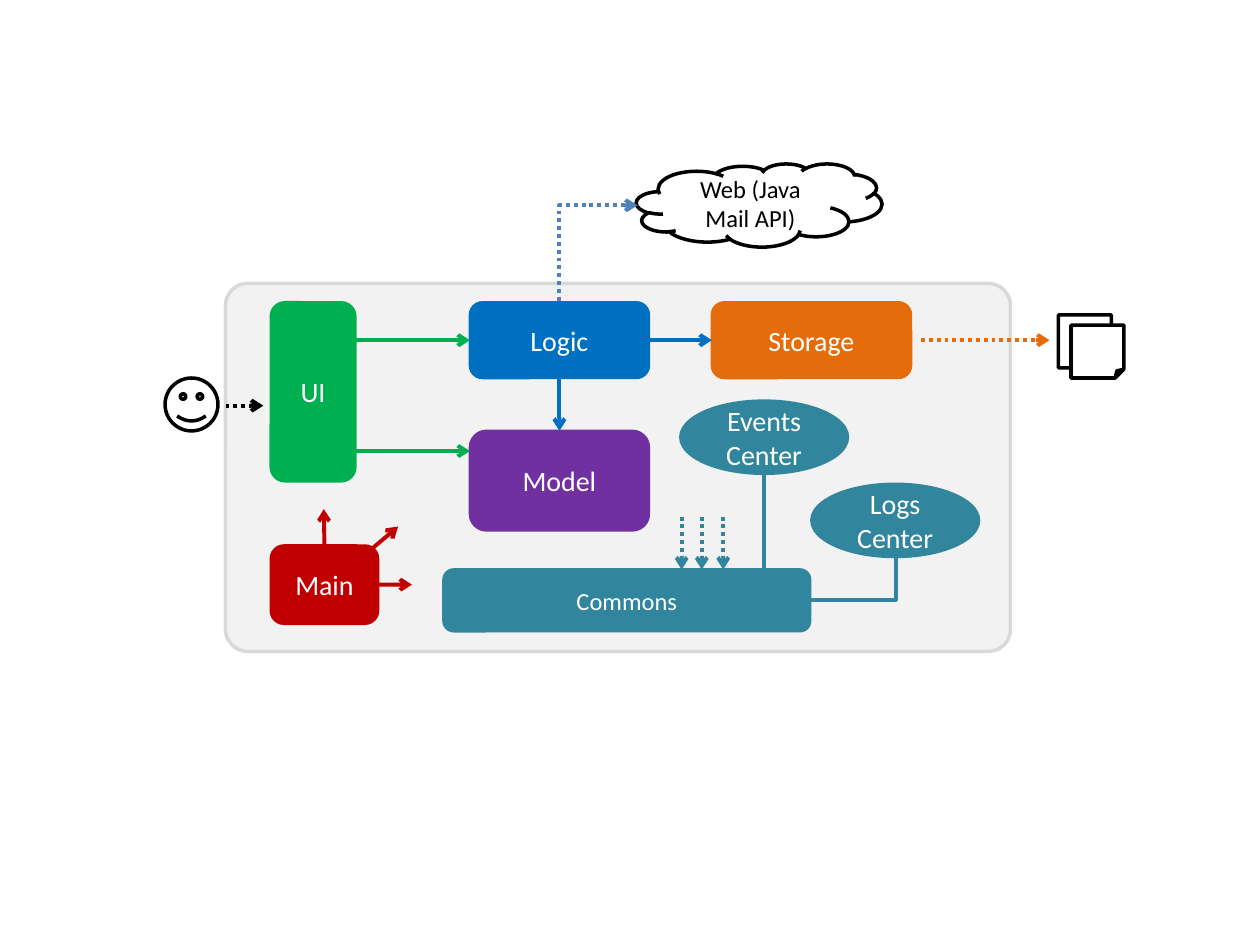
from dataclasses import dataclass
from typing import Optional

from pptx import Presentation
from pptx.dml.color import RGBColor
from pptx.enum.dml import MSO_LINE
from pptx.enum.shapes import MSO_CONNECTOR, MSO_SHAPE
from pptx.enum.text import MSO_ANCHOR, PP_ALIGN
from pptx.oxml.ns import qn
from pptx.oxml.xmlchemy import OxmlElement
from pptx.util import Inches, Pt

TOP, LEFT, BOTTOM, RIGHT = range(4)


@dataclass(frozen=True)
class Theme:
    font: str = "Calibri"
    large: float = 16
    small: float = 14
    outline: float = 2
    box_line: float = 1.5
    arrow_line: float = 2.25
    white: str = "FFFFFF"
    black: str = "000000"
    panel: str = "F2F2F2"
    border: str = "D9D9D9"
    ui: str = "00B050"
    logic: str = "0070C0"
    storage: str = "E46C0A"
    model: str = "7030A0"
    commons: str = "31859C"
    main: str = "C00000"
    web: str = "4F81BD"


T = Theme()


@dataclass
class Node:
    """A shape; box is left, top, width, height in percent of the slide."""
    name: str
    kind: MSO_SHAPE
    box: tuple
    fill: str
    line: Optional[str] = None
    text: str = ""
    size: float = T.large
    color: str = T.white
    weight: float = T.box_line


@dataclass
class Link:
    """A connector; start and end are x, y in percent of the slide."""
    start: tuple
    end: tuple
    color: str
    dotted: bool = False
    arrow: Optional[str] = "a:tailEnd"
    bent: bool = False
    begin_at: Optional[tuple] = None
    end_at: Optional[tuple] = None


prs = Presentation()
prs.slide_width, prs.slide_height = Inches(10), Inches(7.5)
s = prs.slides.add_slide(prs.slide_layouts[6])


def px(share: float) -> int:
    return round(prs.slide_width * share / 100)


def py(share: float) -> int:
    return round(prs.slide_height * share / 100)


def draw_node(node: Node):
    x, y, w, h = node.box
    sp = s.shapes.add_shape(node.kind, px(x), py(y), px(w), py(h))
    sp.shadow.inherit = False
    sp.fill.solid()
    sp.fill.fore_color.rgb = RGBColor.from_string(node.fill)
    sp.line.color.rgb = RGBColor.from_string(node.line or node.fill)
    sp.line.width = Pt(node.weight)
    if node.text:
        tf = sp.text_frame
        tf.word_wrap, tf.vertical_anchor = True, MSO_ANCHOR.MIDDLE
        p = tf.paragraphs[0]
        p.text, p.alignment = node.text, PP_ALIGN.CENTER
        for r in p.runs:
            for key, value in {"name": T.font, "size": Pt(node.size)}.items():
                setattr(r.font, key, value)
            r.font.color.rgb = RGBColor.from_string(node.color)
    return sp


def draw_link(link: Link, shapes: dict) -> None:
    kind = MSO_CONNECTOR.ELBOW if link.bent else MSO_CONNECTOR.STRAIGHT
    (x1, y1), (x2, y2) = link.start, link.end
    c = s.shapes.add_connector(kind, px(x1), py(y1), px(x2), py(y2))
    if link.begin_at:
        c.begin_connect(shapes[link.begin_at[0]], link.begin_at[1])
    if link.end_at:
        c.end_connect(shapes[link.end_at[0]], link.end_at[1])
    c.line.color.rgb = RGBColor.from_string(link.color)
    c.line.width = Pt(T.arrow_line)
    if link.dotted:
        c.line.dash_style = MSO_LINE.ROUND_DOT
    props = c._element.spPr
    if link.bent:  # a single corner instead of two
        props.find(qn("a:prstGeom")).set("prst", "bentConnector2")
    if link.arrow:
        tip = OxmlElement(link.arrow)
        tip.set("type", "arrow")
        props.find(qn("a:ln")).append(tip)
    props.append(OxmlElement("a:effectLst"))


ROUND, OVAL, PAGE = (MSO_SHAPE.ROUNDED_RECTANGLE, MSO_SHAPE.OVAL,
                     MSO_SHAPE.FOLDED_CORNER)
OUTLINE = dict(fill=T.white, line=T.black, weight=T.outline)
ROW = 36  # centre line of Logic and Storage

NODES = [
    # Application panel and its components
    Node("panel", ROUND, (17.9, 30, 62.3, 38.93), T.panel, T.border,
         weight=T.outline),
    Node("ui", ROUND, (21.5, 32, 6.7, 18.93), T.ui, text="UI"),
    Node("logic", ROUND, (37.3, 32, 14.2, 8), T.logic, text="Logic"),
    Node("storage", ROUND, (56.5, 32, 15.8, 8), T.storage, text="Storage"),
    Node("model", ROUND, (37.3, 45.6, 14.2, 10.53), T.model, text="Model"),
    Node("commons", ROUND, (35.2, 60.27, 29.1, 6.53), T.commons,
         text="Commons", size=T.small),
    Node("main", ROUND, (21.5, 57.73, 8.5, 8.27), T.main, text="Main"),
    Node("events", OVAL, (54, 42.4, 13.3, 7.73), T.commons,
         text="Events Center"),
    Node("logs", OVAL, (64.4, 51.2, 13.3, 7.73), T.commons,
         text="Logs\vCenter"),
    # User, files and web service outside the panel
    Node("user", MSO_SHAPE.SMILEY_FACE, (13.1, 40, 4.2, 5.6), **OUTLINE),
    Node("back page", PAGE, (84, 33.33, 4.2, 5.6), **OUTLINE),
    Node("front page", PAGE, (85, 34.4, 4.2, 5.6), **OUTLINE),
    Node("web", MSO_SHAPE.CLOUD, (50.5, 17.33, 19.5, 8.8),
         text="Web (Java Mail API)", size=T.small, color=T.black, **OUTLINE),
]

LINKS = [
    # Calls between components
    Link((28.1, ROW), (37.3, ROW), T.ui, end_at=("logic", LEFT)),
    Link((28.1, 47.73), (37.3, 47.73), T.ui),
    Link((44.4, 40), (44.4, 45.6), T.logic,
         begin_at=("logic", BOTTOM), end_at=("model", TOP)),
    Link((51.5, ROW), (56.5, ROW), T.logic,
         begin_at=("logic", RIGHT), end_at=("storage", LEFT)),
    # Links to the outside
    Link((17.9, 42.93), (20.9, 42.93), T.black, dotted=True),
    Link((73.1, ROW), (83.3, ROW), T.storage, dotted=True),
    Link((50.6, 21.73), (44.4, 32), T.web, dotted=True, bent=True,
         arrow="a:headEnd"),
    # Main starts everything
    Link((30, 61.87), (32.7, 61.87), T.main, begin_at=("main", RIGHT)),
    Link((28.4, 59.33), (31.6, 55.73), T.main),
    Link((25.7, 57.73), (25.7, 53.87), T.main, begin_at=("main", TOP)),
    # Commons and its centers
    *[Link((x, 54.67), (x, 60.27), T.commons, dotted=True)
      for x in (54.1, 55.7, 57.4)],
    Link((64.3, 63.47), (71.1, 59), T.commons, bent=True, arrow=None),
    Link((60.6, 50.2), (60.6, 60.4), T.commons, arrow=None),
]

shapes = {node.name: draw_node(node) for node in NODES}
shapes["panel"].adjustments[0] = 0.06
for link in LINKS:
    draw_link(link, shapes)

prs.save("out.pptx")
